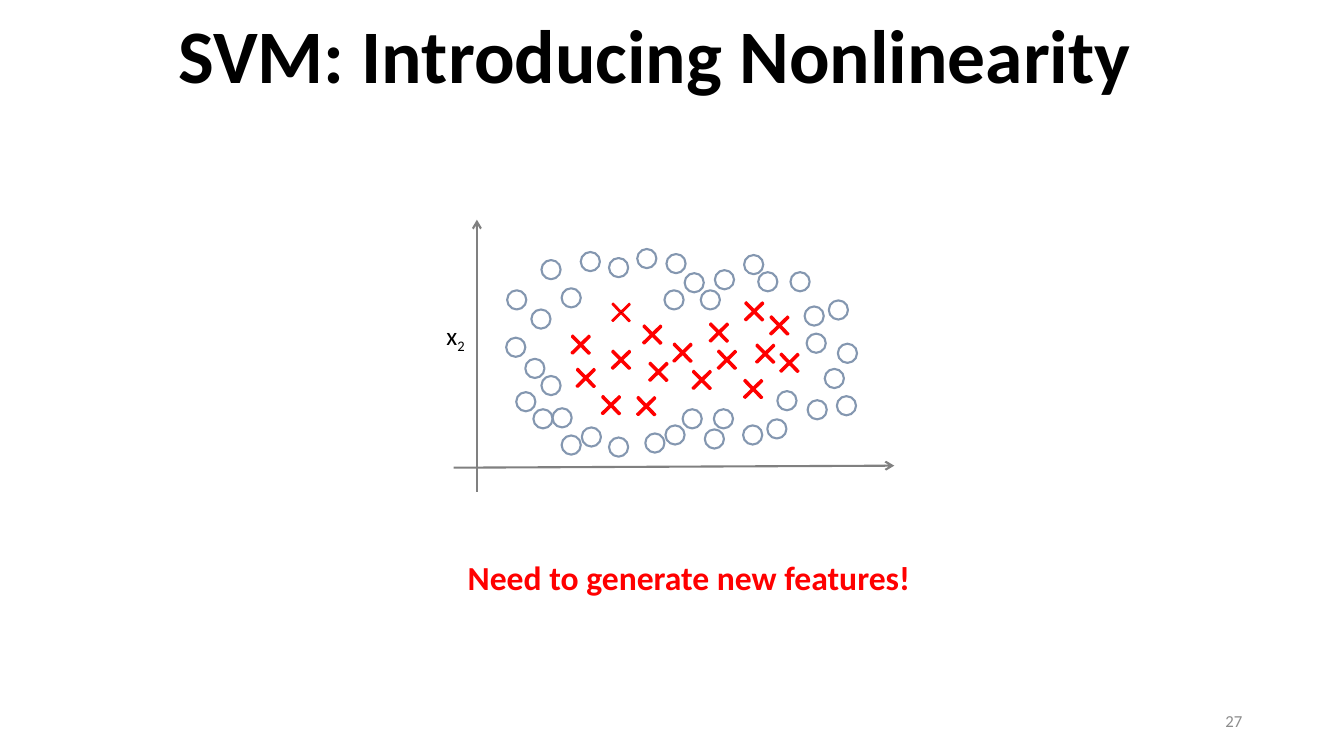
"""Build the slide on nonlinear SVM data: a scatter of two classes on drawn axes."""
from lxml import etree
from pptx import Presentation
from pptx.dml.color import RGBColor
from pptx.enum.shapes import MSO_CONNECTOR, MSO_SHAPE
from pptx.enum.text import MSO_ANCHOR, PP_ALIGN
from pptx.oxml.ns import qn
from pptx.util import Pt

PX = 9144
BLACK = RGBColor(0x00, 0x00, 0x00)
RED = RGBColor(0xFF, 0x00, 0x00)
SLATE = RGBColor(0x84, 0x97, 0xB0)
AXIS_GRAY = RGBColor(0x80, 0x80, 0x80)
NUMBER_GRAY = RGBColor(0x8C, 0x8C, 0x8C)
OVAL, CROSS = MSO_SHAPE.OVAL, MSO_SHAPE.CROSS
STRAIGHT = MSO_CONNECTOR.STRAIGHT
TOP, MIDDLE = MSO_ANCHOR.TOP, MSO_ANCHOR.MIDDLE
LEFT, RIGHT = PP_ALIGN.LEFT, PP_ALIGN.RIGHT

CIRCLE_SIZE = 19
CROSS_SIZE = 24
CIRCLES = [
    (679, 271), (661, 252), (784, 270), (537, 258), (677, 406), (502, 335),
    (548, 405), (798, 304), (709, 268), (752, 270), (576, 250), (632, 247),
    (659, 288), (708, 406), (521, 356), (527, 307), (503, 288), (604, 434),
    (557, 286), (604, 256), (771, 388), (738, 253), (512, 389), (557, 432),
    (537, 373), (529, 406), (737, 422), (695, 288), (640, 430), (831, 341),
    (801, 397), (699, 426), (822, 298), (761, 416), (830, 393), (800, 331),
    (818, 366), (577, 424), (660, 422),
]
THIN_CROSS = (604, 298)
CROSSES = [
    THIN_CROSS, (604, 345), (629, 391), (594, 390), (747, 339), (641, 357),
    (635, 320), (665, 338), (701, 318), (564, 330), (569, 363), (736, 297),
    (709, 345), (761, 311), (684, 365), (735, 374), (771, 348),
]
AXES = [(473, 488, 473, 218), (450, 464, 887, 462)]

prs = Presentation()
prs.slide_width, prs.slide_height = 1333 * PX, 750 * PX
s = prs.slides.add_slide(prs.slide_layouts[6])


def add_text(text, box, size, color, bold=False, align=LEFT, anchor=TOP,
             wrap=True, spacing=1.0, subscript=""):
    sp = s.shapes.add_textbox(*(v * PX for v in box))
    tf = sp.text_frame
    tf.word_wrap = wrap
    tf.vertical_anchor = anchor
    p = tf.paragraphs[0]
    p.alignment = align
    p.line_spacing = spacing
    for part in filter(None, (text, subscript)):
        r = p.add_run()
        r.text = part
        r.font.name = "Calibri"
        r.font.size = Pt(size)
        r.font.bold = bold
        r.font.color.rgb = color
    if subscript:
        r.font._element.set("baseline", "-25000")


def add_marker(kind, x, y, size, color, weight):
    sp = s.shapes.add_shape(kind, x * PX, y * PX, size * PX, size * PX)
    sp.shadow.inherit = False
    sp.line.color.rgb = color
    sp.line.width = Pt(weight)
    return sp


add_text("SVM: Introducing Nonlinearity", (167, -3, 1000, 124), 54, BLACK,
         bold=True, anchor=MIDDLE, spacing=0.9)

for x, y in CIRCLES:
    add_marker(OVAL, x, y, CIRCLE_SIZE, SLATE, 1.5).fill.background()

for x, y in CROSSES:
    weight = 1 if (x, y) == THIN_CROSS else 1.5
    sp = add_marker(CROSS, x, y, CROSS_SIZE, RED, weight)
    sp.adjustments[0] = 0.47
    sp.rotation = 45.6
    sp.fill.solid()
    sp.fill.fore_color.rgb = BLACK

for ends in AXES:
    axis = s.shapes.add_connector(STRAIGHT, *(v * PX for v in ends))
    axis.line.color.rgb = AXIS_GRAY
    axis.line.width = Pt(1.5)
    etree.SubElement(axis.line._get_or_add_ln(), qn("a:tailEnd"), type="arrow")
    etree.SubElement(axis._element.spPr, qn("a:effectLst"))

add_text("x", (433, 313, 40, 40), 18, BLACK, wrap=False, subscript="2")
add_text("27", (942, 695, 300, 40), 12, NUMBER_GRAY, align=RIGHT, anchor=MIDDLE)
add_text("Need to generate new features!", (454, 548, 732, 50), 24, RED, bold=True)

prs.save("out.pptx")
